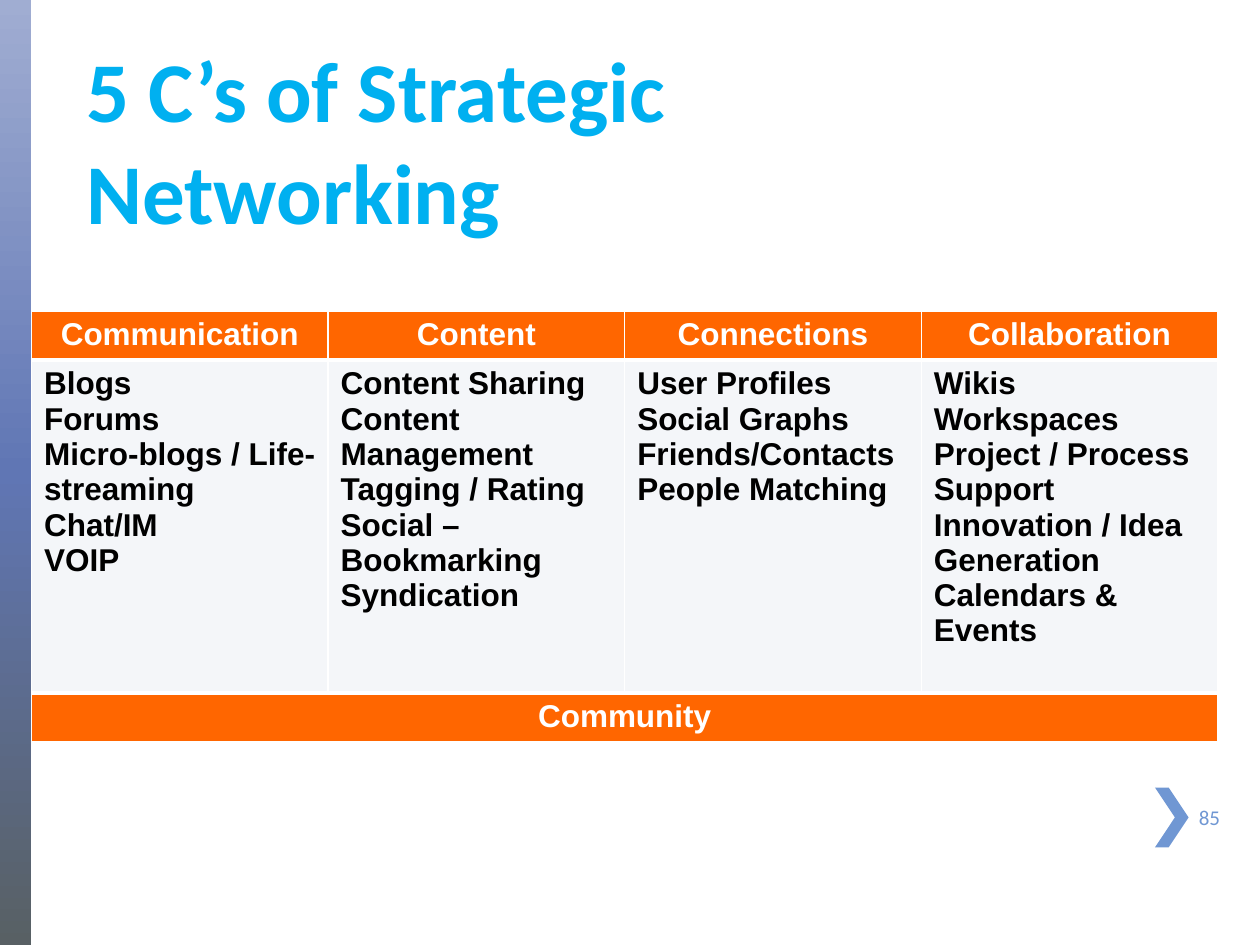
from lxml.etree import SubElement
from pptx import Presentation
from pptx.dml.color import RGBColor
from pptx.enum.shapes import MSO_SHAPE
from pptx.enum.text import MSO_ANCHOR, MSO_AUTO_SIZE, PP_ALIGN
from pptx.oxml import parse_xml
from pptx.oxml.ns import nsdecls, qn
from pptx.util import Inches, Pt

COLORS = {
    "title": "00B0F0", "header": "FF6600", "body": "F4F6F9",
    "white": "FFFFFF", "black": "000000", "accent": "7097D3",
    "bar_top": "A0ADD2", "bar_mid": "6076B4", "bar_end": "586064",
}
COLS, ROWS = 120, 90
TOPICS = {
    "Communication": ["Blogs", "Forums", "Micro-blogs / Life-streaming",
                      "Chat/IM", "VOIP"],
    "Content": ["Content Sharing", "Content Management", "Tagging / Rating",
                "Social –Bookmarking", "Syndication"],
    "Connections": ["User Profiles", "Social Graphs", "Friends/Contacts",
                    "People Matching"],
    "Collaboration": ["Wikis", "Workspaces", "Project / Process Support",
                      "Innovation / Idea Generation", "Calendars & Events"],
}


class Deck:
    def __init__(self, width, height):
        self.prs = Presentation()
        self.prs.slide_width, self.prs.slide_height = Inches(width), Inches(height)
        self.s = self.prs.slides.add_slide(self.prs.slide_layouts[5])

    def x(self, cols):
        return round(self.prs.slide_width * cols / COLS)

    def y(self, rows):
        return round(self.prs.slide_height * rows / ROWS)

    def box(self, left, top, width, height):
        return self.x(left), self.y(top), self.x(width), self.y(height)

    def rgb(self, name):
        return RGBColor.from_string(COLORS[name])

    def add_lines(self, tf, lines, font, size, color, bold=False, align=PP_ALIGN.LEFT):
        for i, line in enumerate(lines):
            p = tf.add_paragraph() if i else tf.paragraphs[0]
            p.alignment = align
            r = p.add_run()
            r.text = line
            r.font.name, r.font.size, r.font.bold = font, Pt(size), bold
            r.font.color.rgb = self.rgb(color)

    def title(self, text, *grid):
        sp = self.s.shapes.title
        sp.left, sp.top, sp.width, sp.height = self.box(*grid)
        tf = sp.text_frame
        tf.word_wrap, tf.auto_size = True, MSO_AUTO_SIZE.NONE
        tf.vertical_anchor = MSO_ANCHOR.BOTTOM
        tf.margin_top = tf.margin_bottom = 0
        self.add_lines(tf, [text], "Calibri", 48.6, "title", True)

    def text(self, text, size, color, *grid):
        tf = self.s.shapes.add_textbox(*self.box(*grid)).text_frame
        tf.word_wrap = True
        tf.vertical_anchor = MSO_ANCHOR.MIDDLE
        self.add_lines(tf, [text], "Calibri", size, color)

    def gradient_bar(self, names, *grid):
        sp = self.s.shapes.add_shape(MSO_SHAPE.RECTANGLE, *self.box(*grid))
        sp.shadow.inherit = False
        sp.line.fill.background()
        sp.fill.gradient()
        sp.fill.gradient_angle = 270
        stops = sp._element.spPr.find(qn("a:gradFill")).find(qn("a:gsLst"))
        for stop in list(stops):
            stops.remove(stop)
        for i, name in enumerate(names):
            pos = 100000 * i // (len(names) - 1)
            stops.append(parse_xml(
                f'<a:gs {nsdecls("a")} pos="{pos}"><a:srgbClr val="{COLORS[name]}"/></a:gs>'))

    def outline(self, color, points):
        (x0, y0), *rest = [(self.x(cx), self.y(cy)) for cx, cy in points]
        builder = self.s.shapes.build_freeform(x0, y0)
        builder.add_line_segments(rest, close=True)
        sp = builder.convert_to_shape()
        sp.shadow.inherit = False
        sp.fill.solid()
        sp.fill.fore_color.rgb = self.rgb(color)
        sp.line.fill.background()

    def cell(self, cell, lines, fill, color, align, top, bottom):
        tcPr = cell._tc.get_or_add_tcPr()
        for side, width in zip("LRTB", (1, 1, top, bottom)):
            ln = SubElement(tcPr, qn(f"a:ln{side}"), w=str(Pt(width)))
            solid = SubElement(ln, qn("a:solidFill"))
            SubElement(solid, qn("a:srgbClr"), val=COLORS["white"])
        cell.fill.solid()
        cell.fill.fore_color.rgb = self.rgb(fill)
        self.add_lines(cell.text_frame, lines, "Arial", 18, color, True, align)

    def table(self, topics, footer, heights, left, top, width):
        n = len(topics)
        grid = self.box(left, top, width, sum(heights))
        table = self.s.shapes.add_table(len(heights), n, *grid).table
        for col in table.columns:
            col.width = self.x(width / n)
        for row, height in zip(table.rows, heights):
            row.height = self.y(height)
        band = ("header", "white", PP_ALIGN.CENTER)
        for c, (head, items) in enumerate(topics.items()):
            self.cell(table.cell(0, c), [head], *band, 1, 3)
            self.cell(table.cell(1, c), items, "body", "black", PP_ALIGN.LEFT, 3, 3)
            self.cell(table.cell(2, c), [] if c else [footer], *band, 3, 1)
        table.cell(2, 0).merge(table.cell(2, n - 1))


def main():
    deck = Deck(10, 7.5)
    deck.gradient_bar(["bar_top", "bar_mid", "bar_end"], 0, 0, 3, ROWS)
    deck.outline("accent", [(111.3, 75), (110, 75), (111.9, 77.85),
                            (110, 80.7), (111.3, 80.7), (113.2, 77.85)])
    deck.title("5 C’s of Strategic Networking", 7, 4, 89, 19)
    deck.table(TOPICS, "Community", [4.7, 31.7, 4.7], 3, 29.6, 113)
    deck.text("85", 12, "accent", 113, 75.4, 6, 4.8)
    deck.prs.save("out.pptx")


if __name__ == "__main__":
    main()
